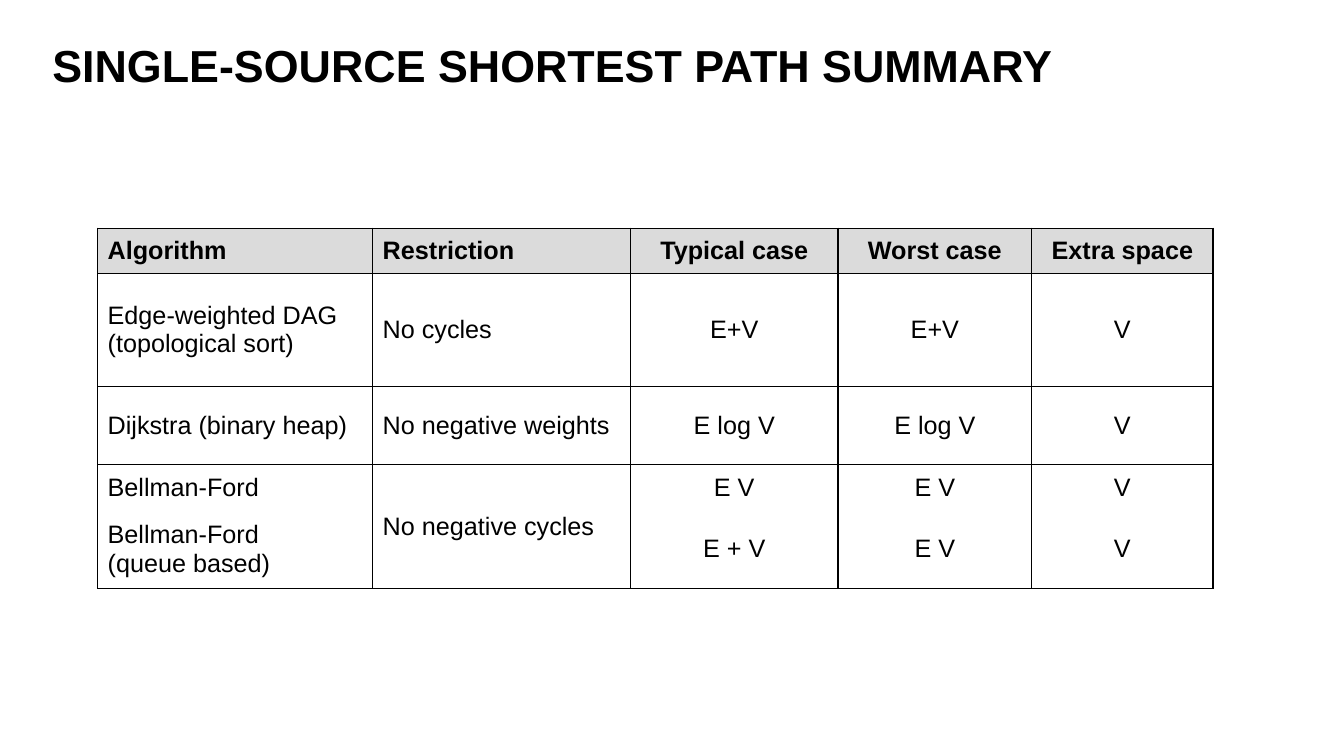
from lxml.etree import SubElement
from pptx import Presentation
from pptx.dml.color import RGBColor
from pptx.enum.text import MSO_ANCHOR as Anchor, PP_ALIGN as Align
from pptx.oxml.ns import qn
from pptx.util import Cm, Pt

BLACK = RGBColor(0, 0, 0)
HEADER_GRAY = RGBColor(0xDB, 0xDB, 0xDB)

COLUMN_WIDTHS = [6.93, 6.5, 5.23, 4.88, 4.57]
ROW_HEIGHTS = [1.14, 2.84, 1.98, 1.14, 1.98]
TEXT_COLUMNS = 2
BELLMAN_FORD, QUEUE_BASED = 3, 4
RESTRICTION = 1
SUMMARY = [
    ["Algorithm", "Restriction", "Typical case", "Worst case", "Extra space"],
    ["Edge-weighted DAG (topological sort)", "No cycles", "E+V", "E+V", "V"],
    ["Dijkstra (binary heap)", "No negative weights", "E log V", "E log V", "V"],
    ["Bellman-Ford", "No negative cycles", "E V", "E V", "V"],
    ["Bellman-Ford\n(queue based)", "", "E + V", "E V", "V"],
]


class SlideBuilder:
    font = "Arial"
    color = BLACK
    border = Pt(1)

    def __init__(self, slide):
        self.slide = slide

    def add_text(self, frame, text, size, bold=False, align=Align.LEFT, spacing=1.0):
        frame.word_wrap = True
        for index, line in enumerate(text.split("\n")):
            paragraph = frame.add_paragraph() if index else frame.paragraphs[0]
            paragraph.alignment = align
            paragraph.line_spacing = spacing
            run = paragraph.add_run()
            run.text = line
            run.font.name = self.font
            run.font.size = Pt(size)
            run.font.bold = bold
            run.font.color.rgb = self.color

    def title(self, text, left, top, width, height):
        box = self.slide.shapes.add_textbox(Cm(left), Cm(top), Cm(width), Cm(height))
        box.text_frame.vertical_anchor = Anchor.MIDDLE
        self.add_text(box.text_frame, text, 32, bold=True, spacing=0.9)

    def outline(self, cell, hidden_side):
        properties = cell._tc.get_or_add_tcPr()
        for side in "LRTB":
            line = SubElement(properties, qn(f"a:ln{side}"), w=str(self.border))
            if side == hidden_side:
                SubElement(line, qn("a:noFill"))
            else:
                fill = SubElement(line, qn("a:solidFill"))
                SubElement(fill, qn("a:srgbClr"), val=str(self.color))

    def table(self, rows, left, top, widths, heights, open_sides):
        frame = self.slide.shapes.add_table(
            len(rows), len(widths), Cm(left), Cm(top),
            Cm(sum(widths)), Cm(sum(heights)))
        table = frame.table
        table.first_row = table.horz_banding = False
        for column, width in zip(table.columns, widths):
            column.width = Cm(width)
        for row, height in zip(table.rows, heights):
            row.height = Cm(height)
        for r, texts in enumerate(rows):
            for c, text in enumerate(texts):
                cell = table.cell(r, c)
                cell.vertical_anchor = Anchor.MIDDLE
                self.outline(cell, None if c == RESTRICTION else open_sides.get(r))
                if r == 0:
                    cell.fill.solid()
                    cell.fill.fore_color.rgb = HEADER_GRAY
                else:
                    cell.fill.background()
                if text:
                    align = Align.LEFT if c < TEXT_COLUMNS else Align.CENTER
                    self.add_text(cell.text_frame, text, 18, bold=r == 0, align=align)
        return table


def main():
    deck = Presentation()
    deck.slide_width, deck.slide_height = Cm(33.87), Cm(19.05)
    builder = SlideBuilder(deck.slides.add_slide(deck.slide_layouts[6]))
    builder.title("SINGLE-SOURCE SHORTEST PATH SUMMARY", 1.07, 0.71, 28.14, 2)
    summary = builder.table(SUMMARY, 2.46, 5.75, COLUMN_WIDTHS, ROW_HEIGHTS,
                            {BELLMAN_FORD: "B", QUEUE_BASED: "T"})
    summary.cell(BELLMAN_FORD, RESTRICTION).merge(
        summary.cell(QUEUE_BASED, RESTRICTION))
    deck.save("out.pptx")


if __name__ == "__main__":
    main()
